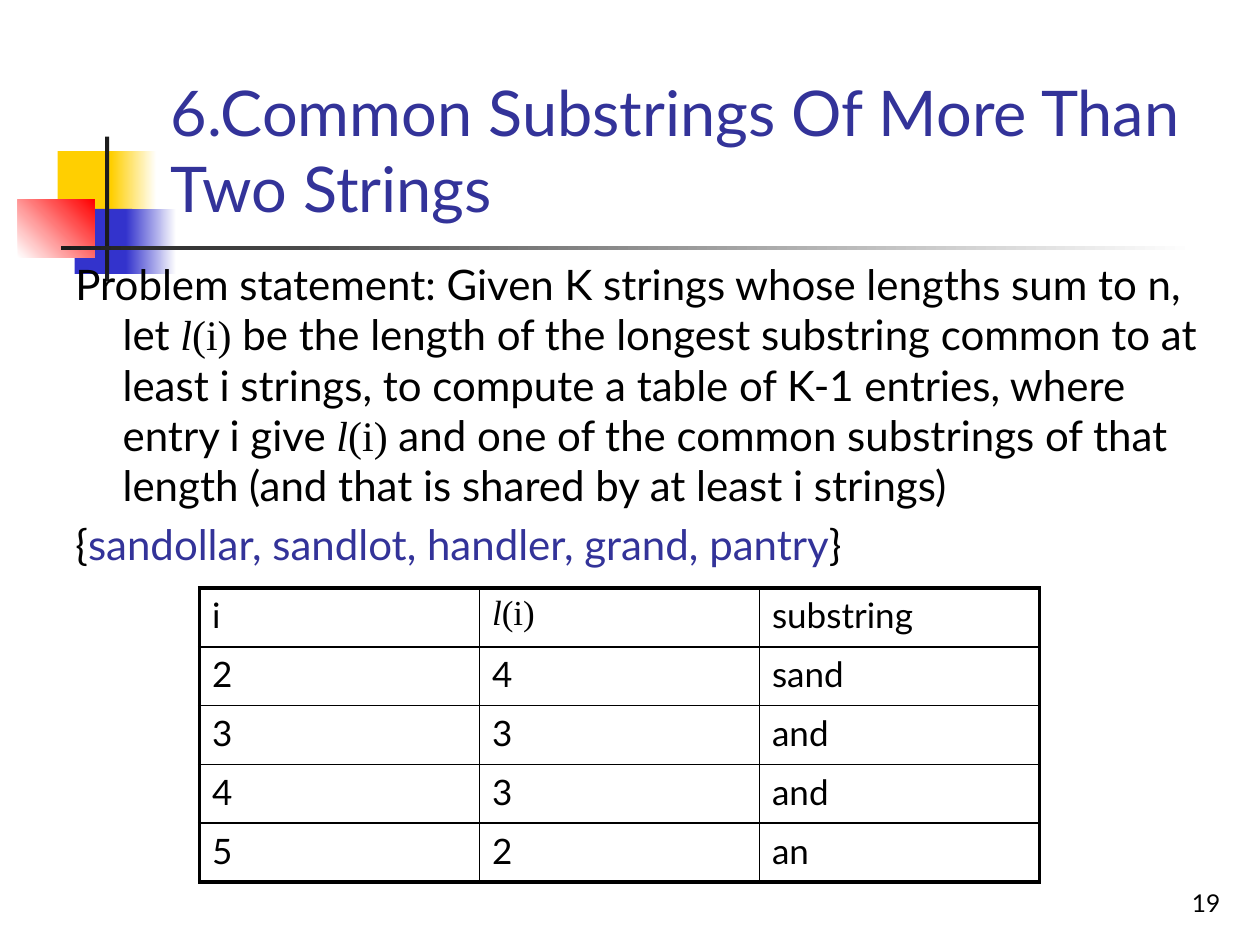
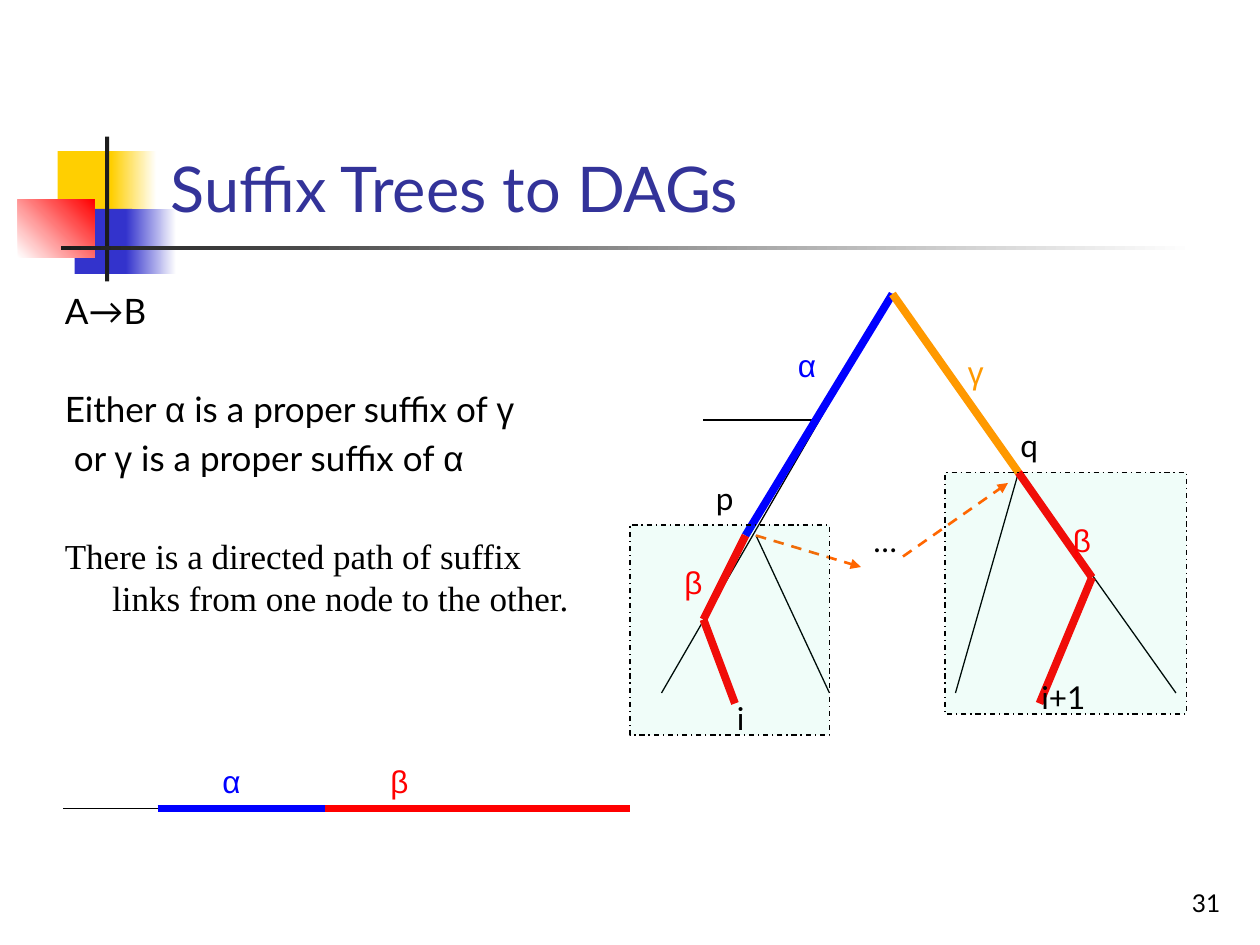
from lxml.etree import SubElement
from pptx import Presentation
from pptx.dml.color import RGBColor as RGB
from pptx.enum.dml import MSO_LINE as DASH
from pptx.enum.shapes import MSO_CONNECTOR as LINK, MSO_SHAPE as SHAPE
from pptx.enum.text import MSO_ANCHOR as ANCHOR, MSO_AUTO_SIZE as FIT, PP_ALIGN as ALIGN
from pptx.oxml.ns import qn
from pptx.util import Inches, Pt

COLORS = {
    "text": "000000", "title": "333399", "paper": "FFFFFF", "ink": "1C1C1C",
    "gold": "FFCF01", "indigo": "3333CC", "red": "FF0000", "blue": "0000FF",
    "orange": "FF9900", "link": "FF6600", "subtree": "00E4A8",
}
RGBS = {name: RGB.from_string(code) for name, code in COLORS.items()}
SANS, SERIF, GREEK = "Lato", "Times New Roman", "Arial"

# Grid of 120 columns by 90 rows, with square cells
deck = Presentation()
deck.slide_width, deck.slide_height = Inches(10), Inches(7.5)
CELL = deck.slide_width // 120
HANG = round(4.5 * CELL)


def write(frame, paragraphs, size, color="text", font=SANS, hang=0, gaps=()):
    """Fill a frame; a paragraph is a list of (text, run font settings)."""
    for row, runs in enumerate(paragraphs):
        paragraph = frame.paragraphs[0] if row == 0 else frame.add_paragraph()
        paragraph.font.size, paragraph.font.name = Pt(size), font
        paragraph.font.color.rgb = RGBS[color]
        if gaps:
            paragraph.space_before = Pt(gaps[row])
        if hang:
            properties = paragraph._p.get_or_add_pPr()
            properties.set("marL", str(hang))
            properties.set("indent", str(-hang))
        for text, settings in runs:
            run = paragraph.add_run()
            run.text = text
            if "font" in settings:
                run.font.name = settings["font"]
            if "italic" in settings:
                run.font.italic = True
            if "color" in settings:
                run.font.color.rgb = RGBS[settings["color"]]


def draw_path(slide, points, color="text", width=0.75, arrow=False):
    """Join the points, given in grid cells, with straight lines."""
    for start, end in zip(points, points[1:]):
        edge = slide.shapes.add_connector(
            LINK.STRAIGHT, *(round(v * CELL) for v in (*start, *end)))
        edge.line.color.rgb, edge.line.width = RGBS[color], Pt(width)
        if arrow:
            edge.line.dash_style = DASH.DASH
            SubElement(edge.line._get_or_add_ln(), qn("a:tailEnd"), type="triangle")
        SubElement(edge._element.spPr, qn("a:effectLst"))


# Shared frame: ornament, title and slide number
ORNAMENT = [  # left, top, width, height, colours from start to end, angle
    (5.5, 14.4, 5.8, 6.2, ["gold"], 0),
    (10.6, 14.4, 4.3, 6.2, ["gold", "paper"], 0),
    (7.1, 19.9, 5.5, 6.2, ["indigo"], 0),
    (12, 19.9, 4.8, 6.2, ["indigo", "paper"], 0),
    (1.7, 19, 7.3, 5.5, ["paper", "red"], 45),
    (10, 13, 0.4, 13.8, ["ink"], 0),
    (5.8, 23.4, 108, 0.4, ["ink", "paper"], 0),
]
TITLES = [("6.Common Substrings Of More Than Two Strings", "19"),
          ("Suffix Trees to DAGs", "31")]
slides = []
for title, number in TITLES:
    slide = deck.slides.add_slide(deck.slide_layouts[6])
    slides.append(slide)
    for *box, colors, angle in ORNAMENT:
        block = slide.shapes.add_shape(SHAPE.RECTANGLE, *(round(v * CELL) for v in box))
        block.shadow.inherit = False
        block.line.fill.background()
        if len(colors) == 1:
            block.fill.solid()
            block.fill.fore_color.rgb = RGBS[colors[0]]
        else:
            block.fill.gradient()
            block.fill.gradient_angle = angle
            for stop, color in zip(block.fill.gradient_stops, colors):
                stop.color.rgb = RGBS[color]
    for text, box, size, color, align in [
            (number, (92.4, 82, 25, 6), 14, "text", ALIGN.RIGHT),
            (title, (15.1, 2.8, 102.2, 19.2), 36, "title", ALIGN.LEFT)]:
        frame = slide.shapes.add_textbox(*(round(v * CELL) for v in box)).text_frame
        frame.word_wrap, frame.vertical_anchor = True, ANCHOR.BOTTOM
        write(frame, [[(text, {})]], size, color)
        frame.paragraphs[0].alignment = align
common, dags = slides

# Body texts
LENGTH = [("l", {"font": SERIF, "italic": True}), ("(i)", {"font": SERIF})]
ALPHA, GAMMA = ("α", {"font": GREEK}), ("γ", {"font": GREEK})
PROBLEM = [
    [("Problem statement: Given K strings whose lengths sum to n, let ", {}), *LENGTH,
     (" be the length of the longest substring common to at least i strings, to compute "
      "a table of K-1 entries, where entry i give ", {}), *LENGTH,
     (" and one of the common substrings of that length (and that is shared by at least "
      "i strings)", {})],
    [("{", {}), ("sandollar, sandlot, handler, grand, pantry", {"color": "title"}), ("}", {})],
]
CLAIM = [
    [("A→B", {})],
    [("Either ", {}), ALPHA, (" is a proper suffix of ", {}), GAMMA],
    [(" or ", {}), GAMMA, (" is a proper suffix of ", {}), ALPHA],
    [("There is a directed path of suffix links from one node to the other.",
      {"font": SERIF})],
]
for slide, box, paragraphs, size, gaps in [
        (common, (6, 24, 111.5, 56.5), PROBLEM, 24, (0, 4.8)),
        (dags, (5, 27, 53, 54), CLAIM, 20, (0, 32, 4, 32))]:
    frame = slide.shapes.add_textbox(*(round(v * CELL) for v in box)).text_frame
    frame.word_wrap = True
    write(frame, paragraphs, size, hang=HANG, gaps=gaps)

# Table of common substrings: thick outside, thin inside
ENTRIES = [("i", LENGTH, "substring"), ("2", "4", "sand"), ("3", "3", "and"),
           ("4", "3", "and"), ("5", "2", "an")]
last_row, last_col = len(ENTRIES) - 1, len(ENTRIES[0]) - 1
table = common.shapes.add_table(
    last_row + 1, last_col + 1, 19 * CELL, 56 * CELL, 80 * CELL, 28 * CELL).table
table.first_row = table.horz_banding = False
for r, entry in enumerate(ENTRIES):
    for c, value in enumerate(entry):
        cell = table.cell(r, c)
        write(cell.text_frame, [[(value, {})] if isinstance(value, str) else value], 20)
        for side, outer in [("L", c == 0), ("R", c == last_col),
                            ("T", r == 0), ("B", r == last_row)]:
            border = SubElement(cell._tc.get_or_add_tcPr(), qn(f"a:ln{side}"),
                                w=str(Pt(2.25 if outer else 1)))
            SubElement(SubElement(border, qn("a:solidFill")), qn("a:srgbClr"),
                       val=COLORS["text"])
        cell.fill.background()

# Suffix tree: nodes in grid cells
root, p, q = (85, 28), (71, 51), (97, 45)
p_fork, q_fork = (67, 59), (104, 55)
p_leaf, q_leaf = (70, 67), (99, 67)
for points in [(root, (63, 66)), (root, (112, 66)), ((78, 40), (67, 40)),
               ((72, 51), (79, 66)), (q, (91, 66))]:
    draw_path(dags, points)
draw_path(dags, [(72, 51), (82, 54)], "link", 1.5, arrow=True)
for points, color in [((root, p), "blue"), ((root, q), "orange"),
                      ((p, p_fork, p_leaf), "red"), ((q, q_fork, q_leaf), "red")]:
    draw_path(dags, points, color, 4.5)

# Subtrees under p and q
for box in [(60, 50, 19, 20), (90, 45, 23, 23)]:
    subtree = dags.shapes.add_shape(SHAPE.RECTANGLE, *(v * CELL for v in box))
    subtree.shadow.inherit = False
    subtree.fill.solid()
    subtree.fill.fore_color.rgb = RGBS["subtree"]
    tint = subtree._element.spPr.find(qn("a:solidFill")).find(qn("a:srgbClr"))
    SubElement(tint, qn("a:alpha"), val="6000")
    subtree.line.color.rgb, subtree.line.width = RGBS["text"], Pt(0.75)
    subtree.line.dash_style = DASH.DASH_DOT
draw_path(dags, [(86, 53), (96, 46)], "link", 1.5, arrow=True)

# String with its parts alpha and beta
draw_path(dags, [(6, 77), (60, 77)])
draw_path(dags, [(15, 77), (31, 77)], "blue", 4.5)
draw_path(dags, [(31, 77), (60, 77)], "red", 4.5)

# Labels: text, left, top, width, colour, font
for text, left, top, width, color, font in [
        ("p", 67, 45, 4.1, "text", SANS), ("q", 96, 40, 4.1, "text", SANS),
        ("α", 74.8, 32.4, 4.3, "blue", GREEK), ("γ", 91, 33, 3.6, "orange", GREEK),
        ("β", 64, 53, 4.1, "red", GREEK), ("β", 101, 49, 4.1, "red", GREEK),
        ("i", 69, 66, 3.1, "text", SANS), ("i+1", 98, 64, 7, "text", SANS),
        ("α", 20, 72, 4.3, "blue", GREEK), ("β", 36, 72, 4.1, "red", GREEK),
        ("…", 82, 49, 4.9, "text", SANS)]:
    frame = dags.shapes.add_textbox(
        *(round(v * CELL) for v in (left, top, width, 4.8))).text_frame
    frame.word_wrap, frame.auto_size = False, FIT.SHAPE_TO_FIT_TEXT
    write(frame, [[(text, {})]], 18, color, font)

deck.save("out.pptx")
